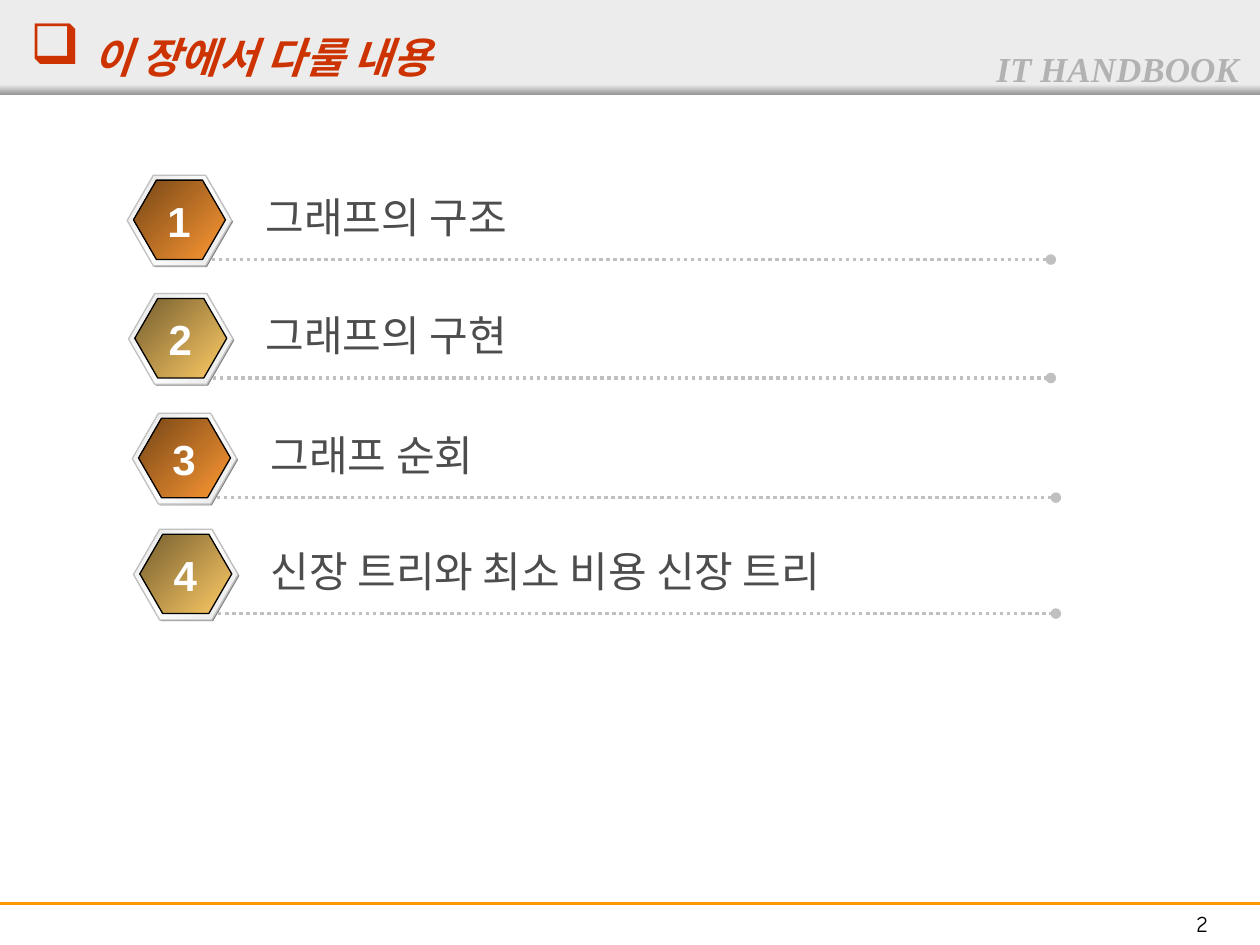
from lxml import etree
from pptx import Presentation
from pptx.dml.color import RGBColor
from pptx.enum.dml import MSO_LINE
from pptx.enum.shapes import MSO_CONNECTOR, MSO_SHAPE
from pptx.enum.text import MSO_AUTO_SIZE, PP_ALIGN
from pptx.oxml.ns import qn
from pptx.util import Inches, Pt

RECT = MSO_SHAPE.RECTANGLE
HEXAGON = MSO_SHAPE.HEXAGON
STRAIGHT = MSO_CONNECTOR.STRAIGHT
DOTTED = MSO_LINE.ROUND_DOT
GROW = MSO_AUTO_SIZE.SHAPE_TO_FIT_TEXT
LEFT, CENTER = PP_ALIGN.LEFT, PP_ALIGN.CENTER

WHITE = RGBColor(0xFF, 0xFF, 0xFF)
BLACK = RGBColor(0x00, 0x00, 0x00)
HEADER = RGBColor(0xEC, 0xEC, 0xEC)
HEADER_EDGE = RGBColor(0x97, 0x97, 0x97)
SERIES = RGBColor(0xB2, 0xB2, 0xB2)
RED = RGBColor(0xCC, 0x33, 0x00)
FOOTER = RGBColor(0xFF, 0x99, 0x00)
SHADE = RGBColor(0x80, 0x80, 0x80)
RIM = RGBColor(0xE6, 0xE6, 0xE6)
RULE = RGBColor(0xC0, 0xC0, 0xC0)
BODY = RGBColor(0x4D, 0x4D, 0x4D)
ORANGE = (RGBColor(0xFF, 0x99, 0x33), RGBColor(0x75, 0x46, 0x17))
GOLD = (RGBColor(0xFF, 0xCC, 0x66), RGBColor(0x75, 0x5E, 0x2F))

KOREAN = "Noto Sans CJK KR"
ITEMS = [
    ("그래프의 구조", 1.01, 1.39, 2.01, ORANGE),
    ("그래프의 구현", 1.02, 2.33, 2.01, GOLD),
    ("그래프 순회", 1.05, 3.28, 2.05, ORANGE),
    ("신장 트리와 최소 비용 신장 트리", 1.06, 4.2, 2.05, GOLD),
]


def add_panel(shapes, kind, x, y, w, h, colors, angle=0, line=None):
    sp = shapes.add_shape(kind, Inches(x), Inches(y), Inches(w), Inches(h))
    sp.shadow.inherit = False
    if len(colors) == 1:
        sp.fill.solid()
        sp.fill.fore_color.rgb = colors[0]
    else:
        sp.fill.gradient()
        sp.fill.gradient_angle = angle
        stops = sp._element.spPr.find(qn("a:gradFill")).find(qn("a:gsLst"))
        for stop in list(stops):
            stops.remove(stop)
        for i, color in enumerate(colors):
            position = 100000 * i // (len(colors) - 1)
            stop = etree.SubElement(stops, qn("a:gs"), pos=str(position))
            etree.SubElement(stop, qn("a:srgbClr"), val=str(color))
    if line is None:
        sp.line.fill.background()
    else:
        sp.line.color.rgb = line
        sp.line.width = Pt(0.75)
    return sp


def add_hexagon(shapes, x, y, w, h, colors, line=None):
    sp = add_panel(shapes, HEXAGON, x, y, w, h, colors, 135, line)
    sp.adjustments[0] = 0.289
    sp.adjustments[1] = 1.155


def add_line(shapes, x1, x2, y, color, width):
    line = shapes.add_connector(STRAIGHT, Inches(x1), Inches(y), Inches(x2), Inches(y))
    line.line.color.rgb = color
    line.line.width = Pt(width)
    etree.SubElement(line._element.spPr, qn("a:effectLst"))
    return line


def style_run(r, size, font, color, bold=False, italic=False):
    r.font.size = Pt(size)
    r.font.name = font
    r.font.color.rgb = color
    r.font.bold = bold
    r.font.italic = italic
    etree.SubElement(r._r.get_or_add_rPr(), qn("a:ea"), typeface=font)


def add_text(shapes, x, y, w, h, text, size, font, color,
             align=LEFT, wrap=True, bold=False, italic=False):
    tf = shapes.add_textbox(Inches(x), Inches(y), Inches(w), Inches(h)).text_frame
    tf.word_wrap = wrap
    tf.auto_size = GROW
    p = tf.paragraphs[0]
    p.text = text
    p.alignment = align
    style_run(p.runs[0], size, font, color, bold, italic)


def add_frame(shapes, w, h):
    add_panel(shapes, RECT, 0, 0, w, 0.75, [HEADER])
    add_panel(shapes, RECT, 0, 0.67, w, 0.08, [HEADER, HEADER_EDGE], 270)
    add_line(shapes, 0, w, h - 0.33, FOOTER, 1.5)
    add_text(shapes, w - 2.19, 0.33, 2.19, 0.44, "IT HANDBOOK", 20,
             "Times New Roman", SERIES, bold=True, italic=True)
    add_text(shapes, w - 0.92, h - 0.33, 0.92, 0.32, "2", 13,
             "Comic Neue", BLACK, align=CENTER)


def add_title(shapes, x, y, w, h, text):
    tf = shapes.add_textbox(Inches(x), Inches(y), Inches(w), Inches(h)).text_frame
    tf.word_wrap = True
    tf.margin_top = 0
    p = tf.paragraphs[0]
    pPr = p._p.get_or_add_pPr()
    pPr.set("marL", str(Inches(0.4)))
    pPr.set("indent", str(-Inches(0.4)))
    bullet_color = etree.SubElement(pPr, qn("a:buClr"))
    etree.SubElement(bullet_color, qn("a:srgbClr"), val=str(RED))
    etree.SubElement(pPr, qn("a:buChar"), char="❑")
    for part, size in ((" ", 32), (text, 24)):
        r = p.add_run()
        r.text = part
        style_run(r, size, KOREAN, RED, bold=True, italic=True)


def add_item(shapes, x, y, body_x, number, text, colors):
    group = shapes.add_group_shape().shapes
    add_hexagon(group, x + 0.01, y + 0.01, 0.83, 0.72, [SHADE])
    add_hexagon(group, x, y, 0.83, 0.72, [RIM, WHITE, RIM], RULE)
    add_hexagon(group, x + 0.05, y + 0.04, 0.73, 0.63, colors, BLACK)
    rule = add_line(group, x + 0.67, body_x + 6.33, y + 0.67, RULE, 2)
    rule.line.dash_style = DOTTED
    etree.SubElement(rule.line._get_or_add_ln(), qn("a:tailEnd"), type="oval")
    add_text(group, body_x, y + 0.08, 6.25, 0.5, text, 24, KOREAN, BODY)
    add_text(group, x + 0.22, y + 0.11, 0.38, 0.5, str(number), 24, "Arial",
             WHITE, align=CENTER, wrap=False, bold=True)


def main():
    prs = Presentation()
    prs.slide_width, prs.slide_height = Inches(10), Inches(7.5)
    s = prs.slides.add_slide(prs.slide_layouts[6])
    add_frame(s.shapes, 10, 7.5)
    add_title(s.shapes, 0.14, 0.14, 9, 0.46, "이 장에서 다룰 내용")
    for number, (text, x, y, body_x, colors) in enumerate(ITEMS, 1):
        add_item(s.shapes, x, y, body_x, number, text, colors)
    prs.save("out.pptx")


if __name__ == "__main__":
    main()
